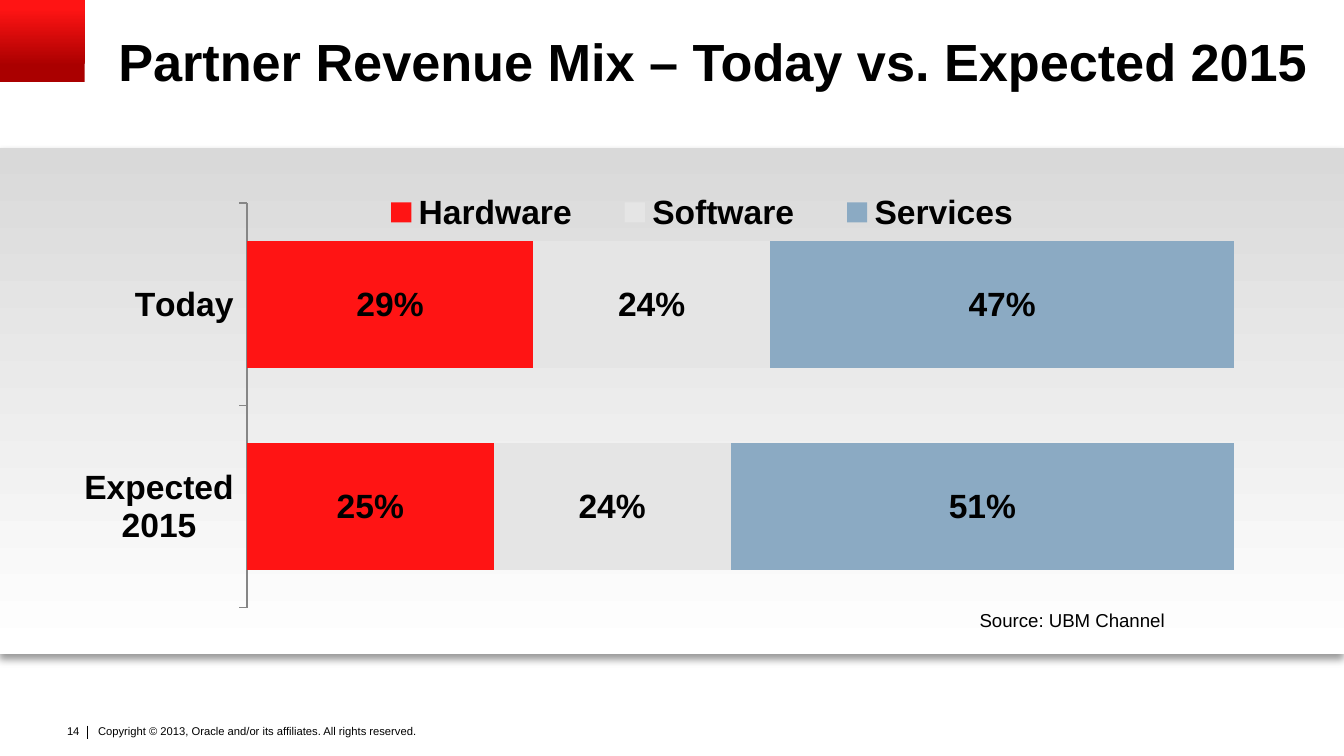
from lxml.etree import SubElement
from pptx import Presentation
from pptx.chart.data import CategoryChartData
from pptx.dml.color import RGBColor
from pptx.enum.chart import XL_CHART_TYPE as ChartType
from pptx.enum.chart import XL_LABEL_POSITION as LabelPos
from pptx.enum.chart import XL_LEGEND_POSITION as LegendPos
from pptx.enum.chart import XL_TICK_MARK as Tick
from pptx.enum.shapes import MSO_CONNECTOR as Connector
from pptx.enum.shapes import MSO_SHAPE as Shape
from pptx.enum.text import MSO_ANCHOR as Anchor
from pptx.enum.text import MSO_AUTO_SIZE as AutoSize
from pptx.enum.text import PP_ALIGN as Align
from pptx.oxml import parse_xml
from pptx.oxml.ns import nsdecls, qn
from pptx.util import Inches, Pt

# Content
WIDTH = 10
HEIGHT = WIDTH * 9 / 16
FONT, BLACK = "Arial", "000000"
TITLE = "Partner Revenue Mix – Today vs. Expected 2015"
PERIODS = ["Expected 2015", "Today"]
REVENUE = [
    ("Hardware", "FF1414", (0.25, 0.29)),
    ("Software", "E5E5E5", (0.24, 0.24)),
    ("Services", "8BAAC3", (0.51, 0.47)),
]
PLOT_SHARES = (0.18, 0.09, 0.77, 0.87)
LEGEND_SHARES = (0.26, 0.06, 0.55, 0.1)
# text, box, insets, size, alignment, wrap
NOTES = [
    ("Copyright © 2013, Oracle and/or its affiliates. All rights reserved.",
     (0.69, 5.37, 2.74, 0.24), (0.04, 0.02), 6, Align.LEFT, True),
    ("14", (0.39, 5.34, 0.3, 0.2), (0.1, 0.05), 6, Align.RIGHT, False),
    ("Source: UBM Channel", (7.19, 4.48, 1.58, 0.27), (0.1, 0.05), 10,
     Align.LEFT, True),
]


def color(value):
    return RGBColor.from_string(value)


def inches(box):
    return [Inches(length) for length in box]


def style(font, size, bold=False):
    font.name, font.size, font.bold = FONT, Pt(size), bold
    font.color.rgb = color(BLACK)


def write(frame, text, size, insets, align=Align.LEFT, wrap=True, bold=False):
    frame.word_wrap = wrap
    frame.auto_size = AutoSize.NONE
    frame.vertical_anchor = Anchor.TOP
    frame.margin_left = frame.margin_right = Inches(insets[0])
    frame.margin_top = frame.margin_bottom = Inches(insets[1])
    paragraph = frame.paragraphs[0]
    paragraph.alignment = align
    run = paragraph.add_run()
    run.text = text
    style(run.font, size, bold)
    return paragraph


def gradient_band(slide, box, stops, angle):
    band = slide.shapes.add_shape(Shape.RECTANGLE, *inches(box))
    band.shadow.inherit = False
    band.line.fill.background()
    band.fill.gradient()
    band.fill.gradient_angle = angle
    for stop, (position, shade) in zip(band.fill.gradient_stops, stops):
        stop.position, stop.color.rgb = position, color(shade)
    return band


def manual_layout(shares, inner=False):
    target = '<c:layoutTarget val="inner"/>' if inner else ""
    modes = "".join(f'<c:{side}Mode val="edge"/>' for side in "xy")
    sizes = "".join(f'<c:{key} val="{share}"/>' for key, share in zip("xywh", shares))
    return parse_xml(f'<c:layout {nsdecls("c")}><c:manualLayout>{target}{modes}{sizes}'
                     '</c:manualLayout></c:layout>')


def drop_layout(parent):
    for layout in parent.findall(qn("c:layout")):
        parent.remove(layout)


def add_revenue_chart(slide, box):
    data = CategoryChartData(number_format="0%")
    data.categories = PERIODS
    for name, _, values in REVENUE:
        data.add_series(name, values)
    chart = slide.shapes.add_chart(ChartType.BAR_STACKED_100, *inches(box), data).chart
    style(chart.font, 18, True)
    chart.has_title = False

    # Bars and their labels
    plot = chart.plots[0]
    plot.gap_width, plot.overlap, plot.vary_by_categories = 59, 100, False
    for series, (_, shade, _) in zip(plot.series, REVENUE):
        series.format.fill.solid()
        series.format.fill.fore_color.rgb = color(shade)
        labels = series.data_labels
        labels.show_value = True
        labels.number_format, labels.number_format_is_linked = "0%", False
        labels.position = LabelPos.CENTER
        style(labels.font, 18, True)

    # Axes
    periods, percent = chart.category_axis, chart.value_axis
    periods.major_tick_mark, periods.minor_tick_mark = Tick.OUTSIDE, Tick.NONE
    periods.format.line.color.rgb = color("868686")
    percent.has_major_gridlines = False
    percent.visible = False

    # Legend over the plot, both placed by shares of the chart
    chart.has_legend = True
    legend = chart.legend
    legend.position, legend.include_in_layout = LegendPos.TOP, False
    style(legend.font, 18, True)
    legend_xml = legend._element
    drop_layout(legend_xml)
    legend_xml.find(qn("c:legendPos")).addnext(manual_layout(LEGEND_SHARES))
    plot_area = chart._chartSpace.chart.plotArea
    drop_layout(plot_area)
    plot_area.insert(0, manual_layout(PLOT_SHARES, inner=True))


def main():
    deck = Presentation()
    deck.slide_width, deck.slide_height = Inches(WIDTH), Inches(HEIGHT)
    slide = deck.slides.add_slide(deck.slide_layouts[5])

    # Corner block and shaded panel
    gradient_band(slide, (0, 0, 0.63, 0.61), [(0.2, "AA0000"), (0.9, "FF1414")], 90)
    panel = gradient_band(slide, (0, 1.1, WIDTH, 3.77), [(0, "D9D9D9"), (1, "FFFFFF")], 270)
    shadow = SubElement(panel._element.spPr.find(qn("a:effectLst")), qn("a:outerShdw"),
                        blurRad=str(Pt(4)), dist=str(Pt(3)), dir="5400000",
                        algn="t", rotWithShape="0")
    shade = SubElement(shadow, qn("a:srgbClr"), val=BLACK)
    SubElement(shade, qn("a:alpha"), val="40000")

    add_revenue_chart(slide, (0.12, 1.2, 9.54, 3.46))

    # Title
    title = slide.shapes.title
    title.left, title.top, title.width, title.height = inches((0.88, 0.27, 9, 0.84))
    write(title.text_frame, TITLE, 28, (0, 0), bold=True).line_spacing = 0.9

    # Footer and source
    for text, box, insets, size, align, wrap in NOTES:
        note = slide.shapes.add_textbox(*inches(box))
        write(note.text_frame, text, size, insets, align, wrap)
    divider = slide.shapes.add_connector(Connector.STRAIGHT, *inches((0.65, 5.4, 0.65, 5.5)))
    divider.line.color.rgb, divider.line.width = color(BLACK), Pt(0.5)
    SubElement(divider._element.spPr, qn("a:effectLst"))

    deck.save("out.pptx")


if __name__ == "__main__":
    main()
